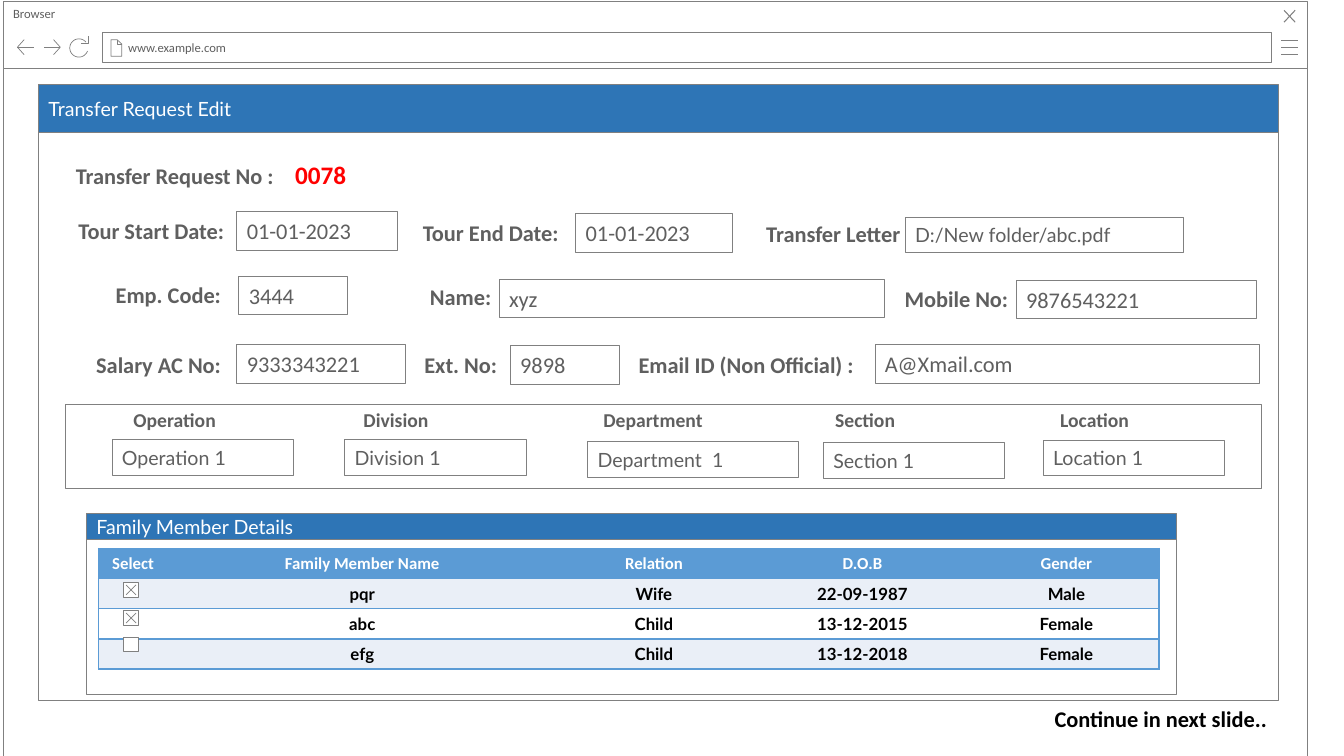
import dataclasses
import math

import lxml.etree
import pptx
import pptx.dml.color
import pptx.enum.shapes
import pptx.enum.text
import pptx.oxml.ns
import pptx.util

Cm, Pt = pptx.util.Cm, pptx.util.Pt
RGBColor = pptx.dml.color.RGBColor
ALIGN = pptx.enum.text.PP_ALIGN
ANCHOR = pptx.enum.text.MSO_ANCHOR

WHITE = RGBColor(0xFF, 0xFF, 0xFF)
BLACK = RGBColor(0, 0, 0)
RED = RGBColor(0xFF, 0, 0)
GRAY = RGBColor(0x80, 0x80, 0x80)
INK = RGBColor(0x5F, 0x5F, 0x5F)
BAR = RGBColor(0x2E, 0x75, 0xB6)
HEAD = RGBColor(0x5B, 0x9B, 0xD5)
BAND = RGBColor(0xEA, 0xEF, 0xF7)

LABEL = dict(name="Calibri", size=Pt(16), bold=True)
VALUE = dict(name="Calibri", size=Pt(16))
SMALL_LABEL = dict(name="Calibri", size=Pt(14), bold=True)
SMALL_VALUE = dict(name="Lato", size=Pt(14))
BROWSER_TEXT = dict(name="Calibri", size=Pt(9))
HEAD_TEXT = dict(name="Calibri", size=Pt(12), bold=True)
CELL_TEXT = dict(name="Lato", size=Pt(12), bold=True)
TEXT_INSETS = (0.25, 0.13, 0.25, 0.13)
VALUE_INSETS = (0.25, 0.15, 0.25, 0.15)

# label, its left, width and top; value, its left, top and width
FIELDS = [
    ("Tour Start Date:", 0.69, 4.24, 3.2, "01-01-2023", 5, 3.2, 4.04),
    ("Tour End Date:", 9.07, 4.29, 3.25, "01-01-2023", 13.54, 3.25, 3.94),
    ("Emp. Code:", 1.32, 3.53, 4.83, "3444", 5.05, 4.83, 2.74),
    ("Name:", 8.13, 3.53, 4.88, "xyz", 11.61, 4.9, 9.7),
    ("Mobile No:", 21.16, 3.53, 4.93, "9876543221", 24.64, 4.93, 6.05),
    ("Salary AC No:", 0.43, 4.42, 6.58, "9333343221", 5, 6.55, 4.24),
    ("Ext. No:", 8.28, 3.53, 6.58, "9898", 11.89, 6.58, 2.74),
    ("Email ID (Non Official) :", 14.25, 6.55, 6.58, "A@Xmail.com", 21.08, 6.55, 9.7),
]
# label, its left; value, its left, top and width
UNITS = [
    ("Operation", 0.51, "Operation 1", 1.17, 0.89, 4.57),
    ("Division", 5.87, "Division 1", 7.04, 0.89, 4.57),
    ("Department", 12.78, "Department  1", 13.16, 0.94, 5.31),
    ("Section", 17.63, "Section 1", 19.1, 0.97, 4.57),
    ("Location", 23.52, "Location 1", 24.64, 0.91, 4.57),
]
FAMILY = [
    ("Select", "Family Member Name", "Relation", "D.O.B", "Gender"),
    ("", "pqr", "Wife", "22-09-1987", "Male"),
    ("", "abc", "Child", "13-12-2015", "Female"),
    ("", "efg", "Child", "13-12-2018", "Female"),
]
COLUMN_WIDTHS = (1.75, 9.8, 4.9, 5.61, 4.67)
CHECKBOXES = [(1.75, True), (2.46, True), (3.12, False)]


@dataclasses.dataclass
class Box:
    """A rectangle in centimetres."""
    left: float
    top: float
    width: float
    height: float

    def inner(self, left, top, width, height):
        """Return a box placed relative to this one."""
        return Box(self.left + left, self.top + top, width, height)

    def lengths(self):
        """Return the four lengths for python-pptx."""
        return [Cm(length) for length in dataclasses.astuple(self)]


def set_values(target, values):
    """Set each attribute named in a dict."""
    for name, value in values.items():
        setattr(target, name, value)


def write(frame, text, style, color=INK, align=ALIGN.LEFT, insets=TEXT_INSETS, anchor=ANCHOR.TOP):
    """Put one styled line in a text frame."""
    sides = ("margin_left", "margin_top", "margin_right", "margin_bottom")
    set_values(frame, dict(zip(sides, map(Cm, insets)), word_wrap=True, vertical_anchor=anchor))
    para = frame.paragraphs[0]
    para.alignment = align
    span = para.add_run()
    span.text = text
    set_values(span.font, style)
    span.font.color.rgb = color


def add_label(page, box, text, style=LABEL, color=INK, align=ALIGN.RIGHT, insets=TEXT_INSETS):
    """Add a text box."""
    write(page.shapes.add_textbox(*box.lengths()).text_frame, text, style, color, align, insets)


def add_panel(page, box, fill=WHITE):
    """Add a thinly outlined rectangle."""
    panel = page.shapes.add_shape(pptx.enum.shapes.MSO_SHAPE.RECTANGLE, *box.lengths())
    panel.shadow.inherit = False
    panel.fill.solid()
    panel.fill.fore_color.rgb = fill
    panel.line.color.rgb = GRAY
    panel.line.width = Pt(0.5)
    return panel


def add_value(page, box, text, style=VALUE, insets=VALUE_INSETS):
    """Add an input field with its value."""
    write(add_panel(page, box).text_frame, text, style, insets=insets, anchor=ANCHOR.MIDDLE)


def add_strokes(page, box, strokes, weight=0.5):
    """Draw open strokes, given in centimetres from the box corner, as one outline."""
    lines = [[(Cm(box.left + x), Cm(box.top + y)) for x, y in stroke] for stroke in strokes]
    builder = page.shapes.build_freeform(*lines[0][0])
    for index, points in enumerate(lines):
        if index:
            builder.move_to(*points[0])
        builder.add_line_segments(points[1:], close=False)
    outline = builder.convert_to_shape()
    outline.shadow.inherit = False
    outline.fill.background()
    outline.line.color.rgb = GRAY
    outline.line.width = Pt(weight)


def add_cross(page, box, weight=0.5):
    """Draw two diagonals of a box."""
    wide, high = box.width, box.height
    add_strokes(page, box, [[(wide, 0), (0, high)], [(0, 0), (wide, high)]], weight)


def add_window(page, box, title, bar_height):
    """Add a body panel below a blue title bar."""
    add_panel(page, box.inner(0, bar_height, box.width, box.height - bar_height))
    bar = add_panel(page, box.inner(0, 0, box.width, bar_height), BAR)
    write(bar.text_frame, title, SMALL_VALUE, WHITE, anchor=ANCHOR.MIDDLE)


def add_browser(page, box):
    """Build the browser frame with its toolbar icons."""
    add_panel(page, box.inner(0, 1.7, box.width, box.height - 1.7))
    write(add_panel(page, box.inner(0, 0, box.width, 1.7)).text_frame, "Browser", BROWSER_TEXT)
    add_strokes(page, box.inner(32.21, 0.99, 0.41, 0.36),
                [[(0, y), (0.41, y)] for y in (0, 0.18, 0.36)])
    add_cross(page, box.inner(32.28, 0.23, 0.28, 0.3), 0.75)
    add_value(page, box.inner(2.49, 0.79, 29.46, 0.76), "www.example.com", BROWSER_TEXT,
              (0.66, 0.13, 0.25, 0.13))
    add_strokes(page, box.inner(2.72, 0.97, 0.27, 0.42),
                [[(0.15, 0), (0.15, 0.11), (0.27, 0.11)],
                 [(0, 0), (0, 0.42), (0.27, 0.42), (0.27, 0.11), (0.15, 0), (0, 0)]])
    for left, tip, barb, tail in ((0.36, 0, 0.17, 0.42), (1.02, 0.42, 0.25, 0)):
        add_strokes(page, box.inner(left, 0.97, 0.42, 0.38),
                    [[(barb, 0), (tip, 0.19), (barb, 0.38)], [(tip, 0.19), (tail, 0.19)]])
    arc = [(0.23 + 0.23 * math.cos(math.radians(angle)), 0.29 + 0.23 * math.sin(math.radians(angle)))
           for angle in range(20, 330, 10)]
    add_strokes(page, box.inner(1.68, 0.89, 0.46, 0.56), [[(0.46, 0), (0.46, 0.18), (0.29, 0.18)], arc])


def add_form(page, box):
    """Build the transfer request form."""
    add_window(page, box, "Transfer Request Edit", 1.2)
    add_label(page, box.inner(0.74, 1.85, 5.51, 0.89), "Transfer Request No :",
              align=ALIGN.LEFT, insets=(0.2, 0.1, 0.2, 0.1))
    add_label(page, box.inner(6.22, 1.75, 2.03, 1.02), "0078", dict(LABEL, size=Pt(18)), RED, ALIGN.LEFT)
    for label, left, width, top, value, value_left, value_top, value_width in FIELDS:
        add_label(page, box.inner(left, top, width, 0.94), label)
        add_value(page, box.inner(value_left, value_top, value_width, 0.97), value)
    add_label(page, box.inner(17.86, 3.28, 4.11, 0.94), "Transfer Letter")
    add_value(page, box.inner(21.84, 3.35, 7.01, 0.89), "D:/New folder/abc.pdf", SMALL_VALUE)


def add_units(page, box):
    """Build the strip of organisation units."""
    add_panel(page, box)
    for label, left, value, value_left, top, width in UNITS:
        add_label(page, box.inner(left, -0.03, 3.53, 0.86), label, SMALL_LABEL)
        add_value(page, box.inner(value_left, top, width, 0.89), value, SMALL_VALUE)


def set_borders(cell, visible):
    """Draw the named cell sides and clear the others."""
    properties = cell._tc.get_or_add_tcPr()
    for index, side in enumerate("LRTB"):
        line = lxml.etree.Element(pptx.oxml.ns.qn("a:ln" + side), w=str(Pt(1)))
        if side in visible:
            fill = lxml.etree.SubElement(line, pptx.oxml.ns.qn("a:solidFill"))
            lxml.etree.SubElement(fill, pptx.oxml.ns.qn("a:srgbClr"), val=str(HEAD))
        else:
            lxml.etree.SubElement(line, pptx.oxml.ns.qn("a:noFill"))
        properties.insert(index, line)


def add_family(page, box):
    """Build the family member table and its checkboxes."""
    add_window(page, box, "Family Member Details", 0.67)
    area = box.inner(0.3, 0.89, sum(COLUMN_WIDTHS), 0.76 * len(FAMILY))
    table = page.shapes.add_table(len(FAMILY), len(COLUMN_WIDTHS), *area.lengths()).table
    for column, width in zip(table.columns, COLUMN_WIDTHS):
        column.width = Cm(width)
    for row, texts in enumerate(FAMILY):
        table.rows[row].height = Cm(0.76)
        for column, text in enumerate(texts):
            cell = table.cell(row, column)
            cell.fill.solid()
            cell.fill.fore_color.rgb = HEAD if row == 0 else (WHITE, BAND)[row % 2]
            set_values(cell, dict(margin_top=Cm(0.12), margin_bottom=Cm(0.12), vertical_anchor=ANCHOR.MIDDLE))
            set_borders(cell, "TB" + {0: "L", len(texts) - 1: "R"}.get(column, ""))
            para = cell.text_frame.paragraphs[0]
            para.alignment = ALIGN.CENTER
            if text:
                span = para.add_run()
                span.text = text
                set_values(span.font, CELL_TEXT if row else HEAD_TEXT)
                span.font.color.rgb = BLACK if row else WHITE
            else:
                lxml.etree.SubElement(para._p, pptx.oxml.ns.qn("a:endParaRPr"), sz="1200")
    for top, checked in CHECKBOXES:
        square = box.inner(0.94, top, 0.37, 0.37)
        add_panel(page, square)
        if checked:
            add_cross(page, square.inner(0.06, 0.06, 0.25, 0.25))


deck = pptx.Presentation()
set_values(deck, dict(slide_width=Cm(33.87), slide_height=Cm(19.05)))
page = deck.slides.add_slide(deck.slide_layouts[6])
add_browser(page, Box(0.08, 0.03, 32.87, 19.05))
add_form(page, Box(0.97, 2.13, 31.24, 15.52))
add_units(page, Box(1.65, 10.19, 30.15, 2.13))
add_family(page, Box(2.18, 12.93, 27.46, 4.57))
add_label(page, Box(26.29, 17.65, 5.89, 0.94), "Continue in next slide..", color=BLACK)
deck.save("out.pptx")
